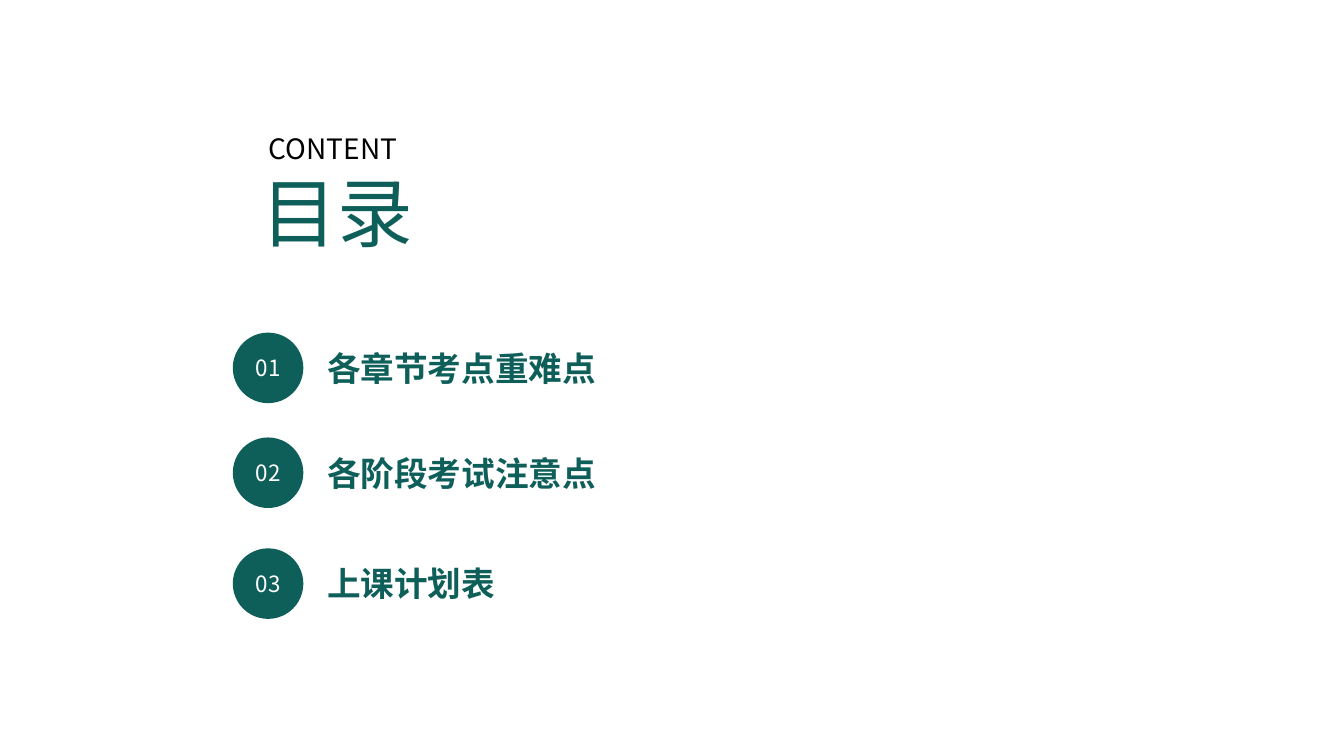
from lxml import etree
from pptx import Presentation
from pptx.dml.color import RGBColor
from pptx.enum.shapes import MSO_SHAPE as Shape
from pptx.enum.text import MSO_ANCHOR as Anchor, MSO_AUTO_SIZE as AutoSize, PP_ALIGN as Align
from pptx.oxml.ns import qn
from pptx.util import Pt

# Content: heading lines as (text, left, top, width, height, size, colour)
GREEN = RGBColor(0x0E, 0x5E, 0x59)
BLACK = RGBColor(0, 0, 0)
WHITE = RGBColor(255, 255, 255)
FONT = "Noto Sans CJK SC"
HEADINGS = [
    ("目录", 180, 115.2, 177.8, 72.7, 54, GREEN),
    ("CONTENT", 185, 90.7, 168.5, 31.7, 20, BLACK),
]
# Chapters as (title, top of its circle)
CHAPTERS = [
    ("各章节考点重难点", 237.6),
    ("各阶段考试注意点", 312.5),
    ("上课计划表", 391.7),
]
CIRCLE_LEFT, CIRCLE_SIZE = 166.3, 50.4
TITLE_LEFT, TITLE_WIDTH, TITLE_HEIGHT, TITLE_DROP = 226.6, 231.1, 36, 7.2


def write(shape, text, size, color, align, bold=False):
    paragraph = shape.text_frame.paragraphs[0]
    paragraph.text = text
    paragraph.alignment = align
    font = paragraph.font
    font.size, font.bold = Pt(size), bold
    font.color.rgb = color
    font.name = FONT
    # Chinese characters take the East Asian typeface
    latin = font._element.find(qn("a:latin"))
    east_asian = etree.Element(qn("a:ea"), typeface=FONT)
    latin.addnext(east_asian)


def add_text(slide, text, left, top, width, height, size, color, bold=False):
    box = slide.shapes.add_textbox(Pt(left), Pt(top), Pt(width), Pt(height))
    box.text_frame.word_wrap = True
    box.text_frame.auto_size = AutoSize.SHAPE_TO_FIT_TEXT
    write(box, text, size, color, Align.LEFT, bold)


def add_number(slide, number, top):
    circle = slide.shapes.add_shape(
        Shape.OVAL, Pt(CIRCLE_LEFT), Pt(top), Pt(CIRCLE_SIZE), Pt(CIRCLE_SIZE))
    circle.shadow.inherit = False
    circle.fill.solid()
    circle.fill.fore_color.rgb = GREEN
    circle.line.fill.background()
    circle.text_frame.vertical_anchor = Anchor.MIDDLE
    write(circle, f"{number:02d}", 16, WHITE, Align.CENTER)


presentation = Presentation()
presentation.slide_width, presentation.slide_height = Pt(960), Pt(540)
slide = presentation.slides.add_slide(presentation.slide_layouts[6])

# Chapter list
for number, (title, top) in enumerate(CHAPTERS, 1):
    add_text(slide, title, TITLE_LEFT, top + TITLE_DROP, TITLE_WIDTH, TITLE_HEIGHT,
             24, GREEN, bold=True)
    add_number(slide, number, top)

# Heading
for heading in HEADINGS:
    add_text(slide, *heading)

presentation.save("out.pptx")
